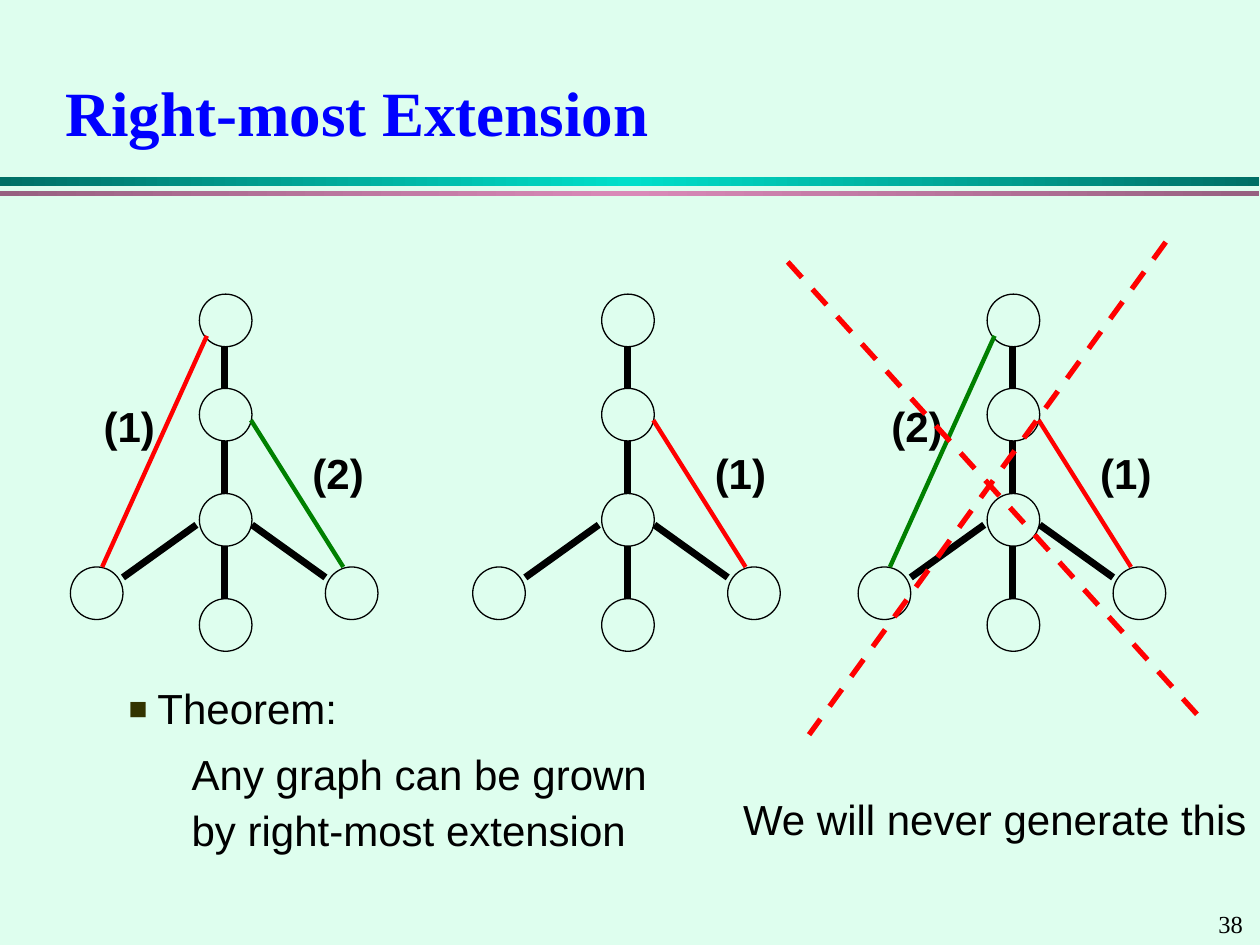
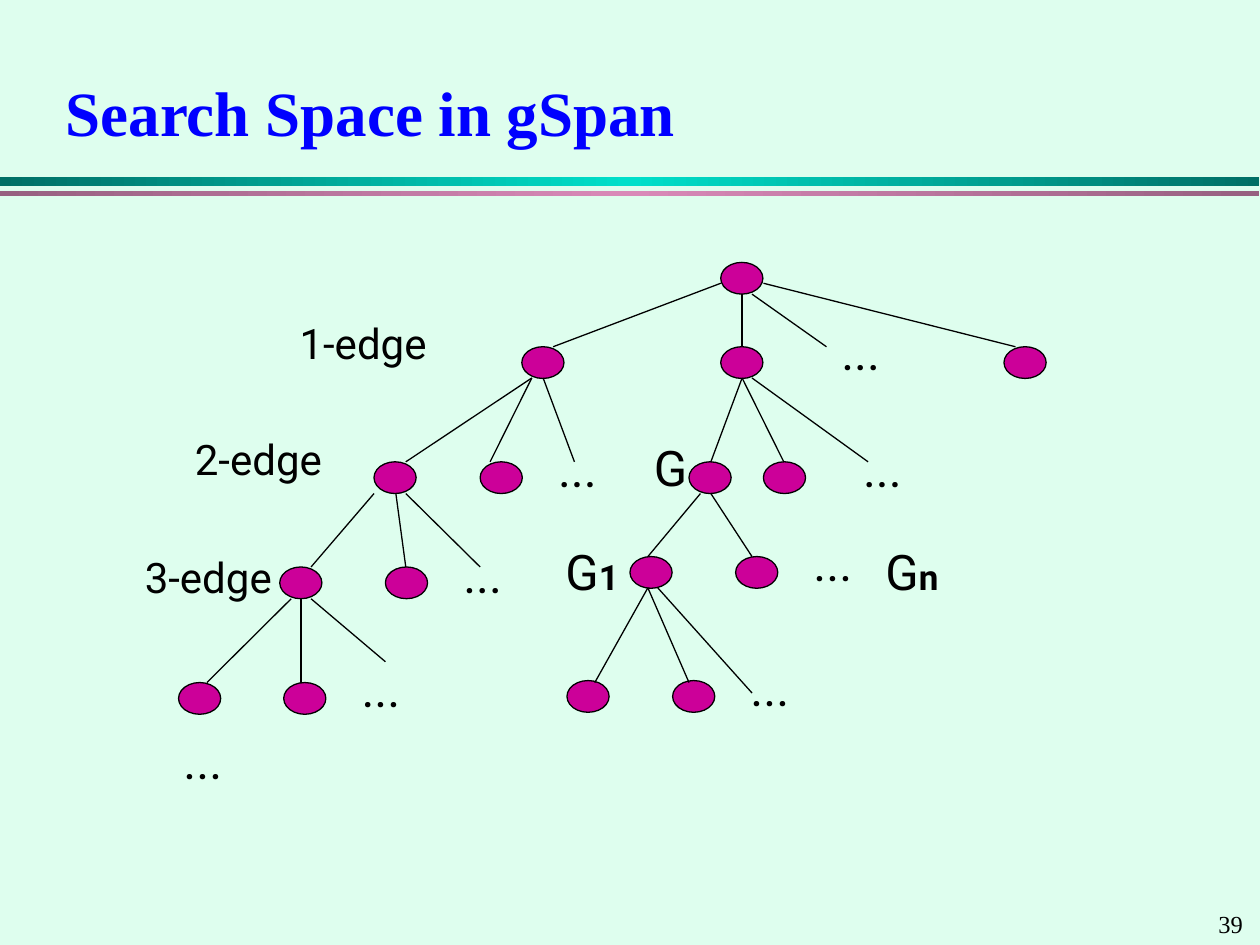
"""Builds two slides on graph growth and the gSpan search space."""
from copy import deepcopy

from lxml import etree
from pptx import Presentation
from pptx.dml.color import RGBColor
from pptx.enum.dml import MSO_LINE
from pptx.enum.shapes import MSO_CONNECTOR, MSO_SHAPE
from pptx.enum.text import MSO_ANCHOR, MSO_AUTO_SIZE, PP_ALIGN
from pptx.oxml.ns import qn
from pptx.util import Cm, Pt

STRAIGHT = MSO_CONNECTOR.STRAIGHT
OVAL, RECTANGLE = MSO_SHAPE.OVAL, MSO_SHAPE.RECTANGLE
DASH = MSO_LINE.DASH
MIDDLE, TOP = MSO_ANCHOR.MIDDLE, MSO_ANCHOR.TOP
LEFT = PP_ALIGN.LEFT
FIXED, GROW = MSO_AUTO_SIZE.NONE, MSO_AUTO_SIZE.SHAPE_TO_FIT_TEXT

COLORS = {
    "paper": "DEFEEE", "ink": "000000", "title": "0000FF", "bullet": "333300",
    "red": "FF0000", "green": "008000", "node": "CC0099",
    "teal": "006F65", "aqua": "00DFCA", "plum": "976080", "pink": "D989B8",
}
SANS, SERIF, ROUND = "Arial", "Times New Roman", "Roboto"
TITLE_AND_BODY, TITLE_ONLY = 1, 5


def color(name):
    """Return the named colour."""
    return RGBColor.from_string(COLORS[name])


class SlideBuilder:
    """Holds the deck style and the current page."""

    def __init__(self):
        """Start the deck with its size and background."""
        self.deck = Presentation()
        self.deck.slide_width, self.deck.slide_height = Cm(25.4), Cm(19.05)
        backdrop = self.deck.slide_master.background.fill
        backdrop.solid()
        backdrop.fore_color.rgb = color("paper")
        self.page = None

    def start(self, layout, title, number):
        """Add a page with title, bands and page number."""
        self.page = self.deck.slides.add_slide(self.deck.slide_layouts[layout])
        self.band(3.56, 0.2, "teal", "aqua")
        self.band(3.86, 0.1, "plum", "pink")
        self.text(24.31, 18.21, 1.09, 0.86, [(str(number), 14, False)], SERIF, wrap=True)
        box = self.page.shapes.title
        self.place(box, 1.07, 1.07, 23.29, 2.34)
        frame = box.text_frame
        frame.auto_size, frame.vertical_anchor = FIXED, MIDDLE
        para = frame.paragraphs[0]
        para.alignment = LEFT
        self.span(para, title, 36, SERIF, True, "title")

    def place(self, shape, left, top, width, height):
        """Move and size a shape in centimetres."""
        shape.left, shape.top = Cm(left), Cm(top)
        shape.width, shape.height = Cm(width), Cm(height)

    def span(self, para, words, size, face, bold=False, ink="ink"):
        """Add one formatted run to a paragraph."""
        span = para.add_run()
        span.text = words
        span.font.size, span.font.name, span.font.bold = Pt(size), face, bold
        span.font.color.rgb = color(ink)

    def band(self, top, height, edge, centre):
        """Draw a full-width band that is brightest in the centre."""
        band = self.page.shapes.add_shape(RECTANGLE, 0, Cm(top), Cm(25.38), Cm(height))
        band.shadow.inherit = False
        band.line.fill.background()
        band.fill.gradient()
        first = next(band.element.iter(qn("a:gs")))
        first.addnext(deepcopy(first))
        for stop, position, name in zip(band.fill.gradient_stops, (0, 0.5, 1), (edge, centre, edge)):
            stop.position = position
            stop.color.rgb = color(name)
        band.fill.gradient_angle = 0

    def oval(self, left, top, width, height, fill=None):
        """Draw a thinly outlined graph node."""
        node = self.page.shapes.add_shape(OVAL, Cm(left), Cm(top), Cm(width), Cm(height))
        node.shadow.inherit = False
        if fill:
            node.fill.solid()
            node.fill.fore_color.rgb = color(fill)
        else:
            node.fill.background()
        node.line.color.rgb = color("ink")
        node.line.width = Pt(0.75)

    def line(self, x1, y1, x2, y2, weight=0.75, ink="ink", dash=None):
        """Draw a straight edge."""
        edge = self.page.shapes.add_connector(STRAIGHT, Cm(x1), Cm(y1), Cm(x2), Cm(y2))
        edge.line.color.rgb = color(ink)
        edge.line.width = Pt(weight)
        if dash:
            edge.line.dash_style = dash
        etree.SubElement(edge.element.spPr, qn("a:effectLst"))

    def text(self, left, top, width, height, spans, face, wrap=False):
        """Add a one-paragraph text box from (words, size, bold) spans."""
        box = self.page.shapes.add_textbox(Cm(left), Cm(top), Cm(width), Cm(height))
        frame = box.text_frame
        frame.word_wrap, frame.auto_size = wrap, GROW
        for words, size, bold in spans:
            self.span(frame.paragraphs[0], words, size, face, bold)

    def body(self, left, top, width, height, items):
        """Fill the body placeholder with (words, level, margin, indent, bullet) items."""
        box = self.page.placeholders[1]
        self.place(box, left, top, width, height)
        frame = box.text_frame
        frame.auto_size, frame.vertical_anchor = FIXED, TOP
        for index, (words, level, margin, indent, bullet) in enumerate(items):
            para = frame.add_paragraph() if index else frame.paragraphs[0]
            para.level, para.line_spacing, para.space_before = level, 1.1, Pt(6)
            self.span(para, words, 24, SANS)
            self.bullet(para, margin, indent, bullet)

    def bullet(self, para, margin, indent, symbol):
        """Set the indents and the bullet of a paragraph."""
        props = para._p.get_or_add_pPr()
        props.set("marL", str(Cm(margin)))
        props.set("indent", str(Cm(indent)))
        if not symbol:
            etree.SubElement(props, qn("a:buNone"))
            return
        tint = etree.SubElement(props, qn("a:buClr"))
        etree.SubElement(tint, qn("a:srgbClr"), val=COLORS["bullet"])
        etree.SubElement(props, qn("a:buSzPct"), val="75000")
        etree.SubElement(props, qn("a:buFont"), typeface=SANS)
        etree.SubElement(props, qn("a:buChar"), char=symbol)


def draw_graph(slide, x, left_edge, right_edge):
    """Draw a six-node graph at x with optional (label, colour) back edges."""
    size = 1.06
    trunk = (5.93, 7.83, 9.95, 12.07)
    for top in trunk:
        slide.oval(x, top, size, size, None if top == trunk[-1] else "paper")
    slide.oval(x + 2.54, 11.43, size, size, "paper")
    slide.oval(x - 2.6, 11.43, size, size)
    for upper, lower in zip(trunk, trunk[1:]):
        slide.line(x + 0.51, upper + size, x + 0.51, lower, 4)
    for start, end in ((1.06, 2.54), (-0.06, -1.54)):
        slide.line(x + start, 10.58, x + end, 11.64, 4)
    sides = (
        (left_edge, (0.15, 6.77, -1.96), (-2.18, 7.95)),
        (right_edge, (1.04, 8.47, 2.9), (2.03, 8.89)),
    )
    for edge, (start, top, end), (label_x, label_y) in sides:
        if edge:
            label, ink = edge
            slide.line(x + start, top, x + end, 11.43, 2.5, ink)
            slide.text(x + label_x, label_y, 1.55, 1.27, [(label, 24, True)], SANS)


def extension_slide(slide):
    """Build the slide on right-most extension."""
    slide.start(TITLE_AND_BODY, "Right-most Extension", 38)
    draw_graph(slide, 4.02, ("(1)", "red"), ("(2)", "green"))
    draw_graph(slide, 12.13, None, ("(1)", "red"))
    draw_graph(slide, 19.9, ("(2)", "green"), ("(1)", "red"))
    slide.line(15.88, 5.28, 24.13, 14.4, 3, "red", DASH)
    slide.line(23.5, 4.88, 16.31, 14.81, 3, "red", DASH)
    slide.text(14.73, 15.88, 10.67, 1.27, [("We will never generate this", 24, False)], SANS)
    slide.body(2.34, 13.54, 11.43, 3.84, [
        ("Theorem:", 0, 0.58, -0.58, "■"),
        ("Any graph can be grown by right-most extension", 1, 1.27, 0, None),
    ])


def search_space_slide(slide):
    """Build the slide with the search tree."""
    slide.start(TITLE_ONLY, "Search Space in gSpan", 39)
    node_rows = {
        5.29: (14.53,),
        6.99: (10.52, 14.53, 20.24),
        9.31: (7.54, 9.68, 13.89, 15.39),
        11.43: (5.64, 7.77),
        11.22: (12.7, 14.83),
        13.76: (3.6, 5.72),
        13.72: (11.43, 13.56),
    }
    for top, lefts in node_rows.items():
        for left in lefts:
            slide.oval(left, top, 0.85, 0.64, "node")
    edge_rows = {
        (5.71, 6.99): ((14.53, 11.15), (15.39, 20.47)),
        (5.93, 6.99): ((14.96, 14.96), (15.16, 16.66)),
        (7.62, 9.31): ((10.72, 8.18), (10.72, 9.88), (10.95, 11.58),
                       (14.96, 14.33), (14.96, 15.8), (15.16, 17.5)),
        (9.95, 11.43): ((7.54, 6.27), (7.98, 8.18), (8.18, 9.68)),
        (9.95, 11.22): ((14.12, 13.06), (14.33, 15.16)),
        (12.07, 13.76): ((5.87, 4.17), (6.07, 6.07)),
        (12.07, 13.34): ((6.27, 7.77),),
        (11.85, 13.76): ((13.06, 11.99), (13.06, 13.89)),
        (11.85, 13.97): ((13.26, 15.16),),
    }
    for (upper, lower), edges in edge_rows.items():
        for start, end in edges:
            slide.line(start, upper, end, lower)
    dots = ((16.71, 6.35), (11, 8.71), (17.15, 8.71), (9.09, 10.85),
            (16.15, 10.62), (7.04, 13.16), (14.88, 13.13), (3.45, 14.6))
    for left, top in dots:
        slide.text(left, top, 1.3, 1.45, [("...", 28, False)], ROUND)
    for count, (left, top) in enumerate(((5.79, 6.27), (3.68, 8.61), (2.67, 11)), 1):
        slide.text(left, top, 3.25, 1.27, [(f"{count}-edge", 24, False)], ROUND)
    graph = ("G", 28, False)
    slide.text(12.93, 8.69, 1.22, 1.45, [graph], ROUND)
    for left, index in ((11.15, "1"), (17.6, "n")):
        slide.text(left, 10.8, 1.65, 1.45, [graph, (index, 20, True)], ROUND)


def main():
    """Build and save the deck."""
    slide = SlideBuilder()
    extension_slide(slide)
    search_space_slide(slide)
    slide.deck.save("out.pptx")


if __name__ == "__main__":
    main()
